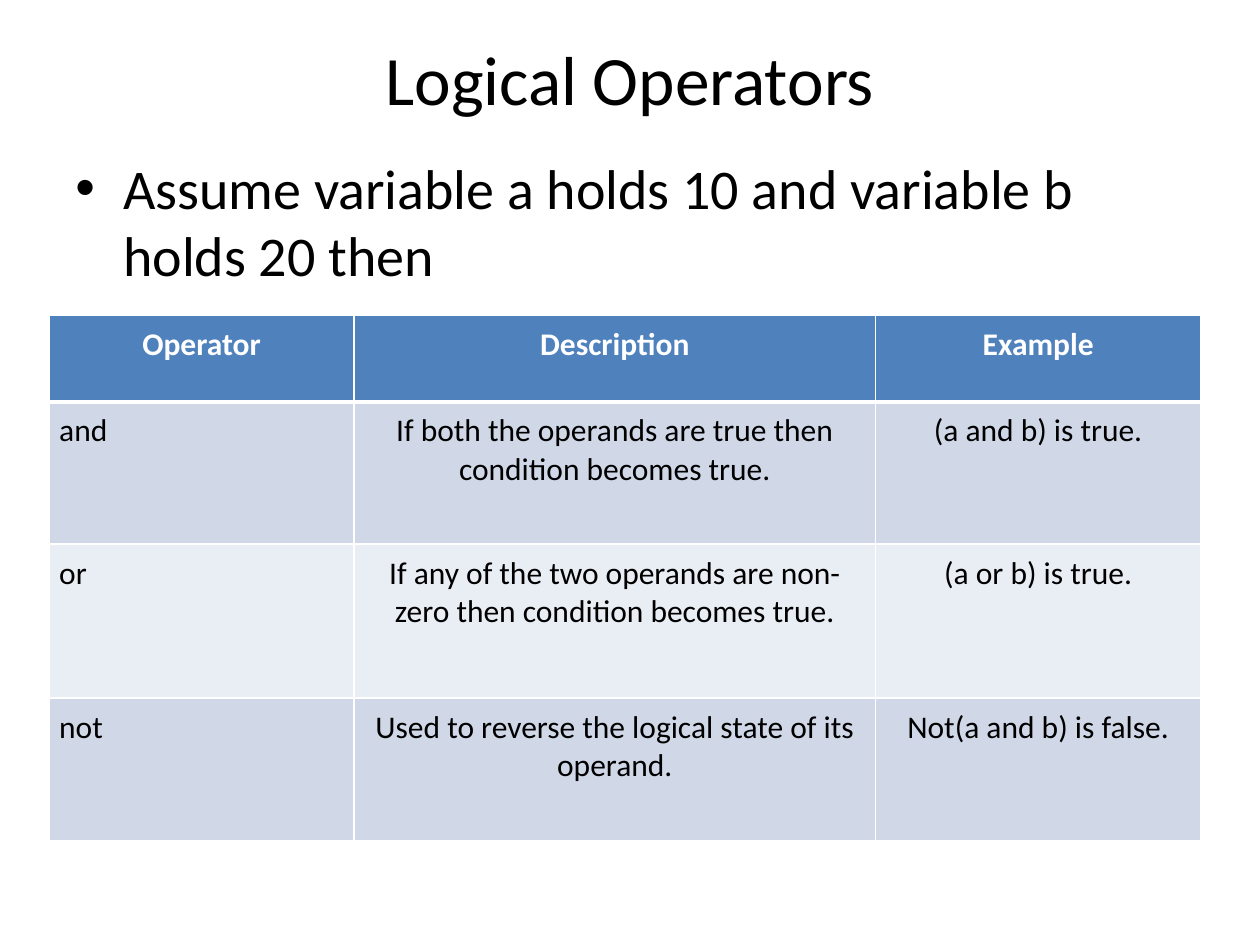
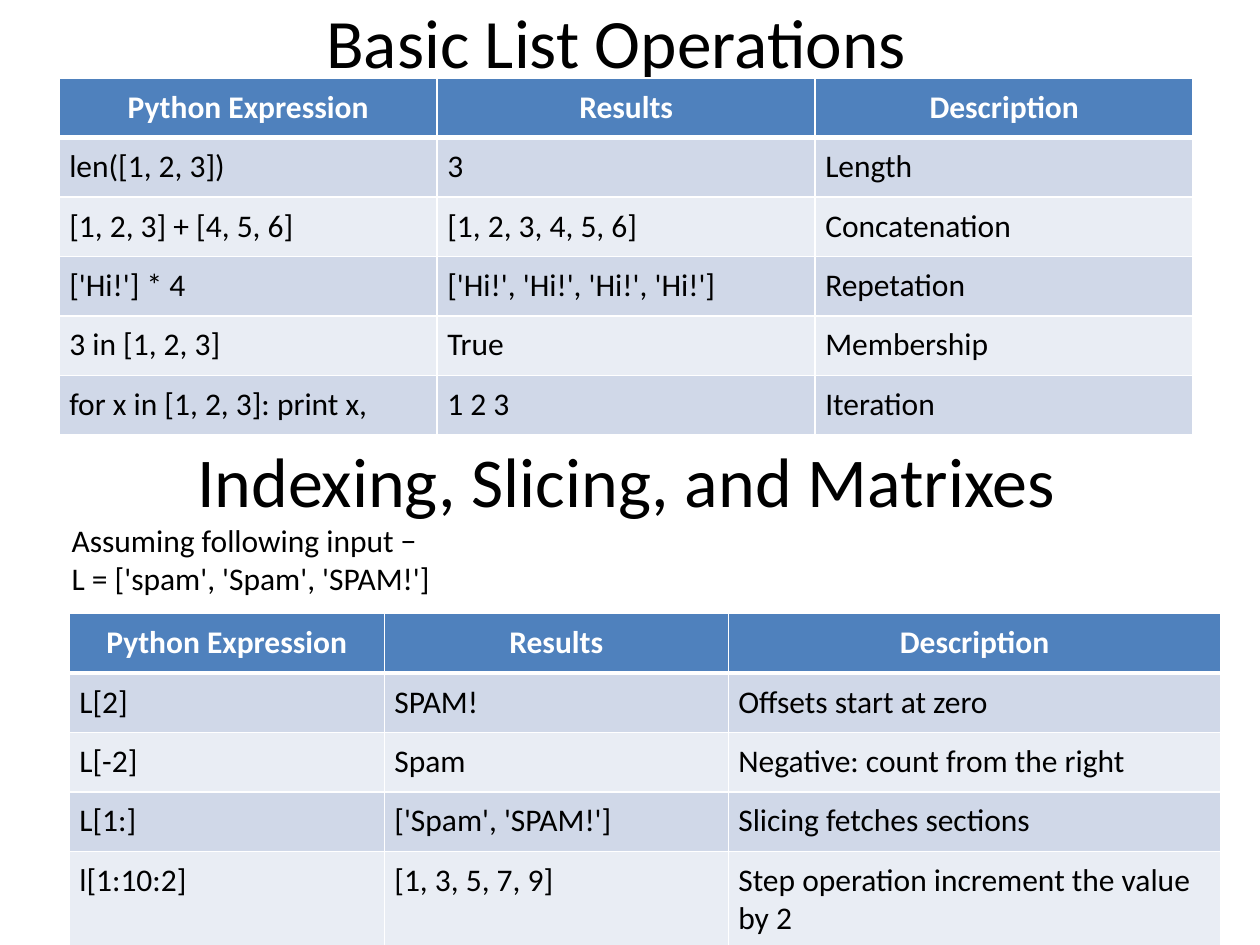
from dataclasses import dataclass
from typing import Sequence

from lxml import etree
from pptx import Presentation
from pptx import util as u
from pptx.dml.color import RGBColor
from pptx.enum import text
from pptx.oxml import ns

# Shared style
FONT = "Calibri"
BLACK, WHITE = "000000", "FFFFFF"
HEADER, BANDS = "4F81BD", ("D0D8E8", "E9EDF4")
TITLE_SIZE, BODY_SIZE, SMALL_SIZE = 39.6, 32, 18
CELL_INSET = u.Inches(0.08)
LEFT, CENTER = text.PP_ALIGN.LEFT, text.PP_ALIGN.CENTER
SLIDE_W, SLIDE_H = u.Inches(10), u.Inches(7.5)
LINE_ROW = 6.29  # one-line table row, percent of slide height


@dataclass
class Box:
    """Place in percent of the slide's width and height."""
    left: float
    top: float
    width: float
    height: float


@dataclass
class Line:
    words: str
    size: float = SMALL_SIZE
    align: text.PP_ALIGN = LEFT


@dataclass
class Grid:
    """Table; column widths and row heights in percent of the slide."""
    left: float
    top: float
    cols: Sequence[float]
    rows: Sequence[float]
    cells: Sequence[Sequence[str]]
    aligns: Sequence[text.PP_ALIGN] = (LEFT, LEFT, LEFT)


def across(share: float) -> int:
    return int(SLIDE_W * share / 100)


def down(share: float) -> int:
    return int(SLIDE_H * share / 100)


def rgb(color: str) -> RGBColor:
    return RGBColor.from_string(color)


def style(p, size: float, align, color: str = BLACK, bold: bool = False) -> None:
    p.alignment = align
    for r in p.runs:
        r.font.name, r.font.size = FONT, u.Pt(size)
        r.font.bold, r.font.color.rgb = bold, rgb(color)


def add_text(s, box: Box, lines: Sequence[Line], anchor=text.MSO_ANCHOR.MIDDLE):
    sp = s.shapes.add_textbox(across(box.left), down(box.top),
                              across(box.width), down(box.height))
    tf = sp.text_frame
    tf.word_wrap, tf.vertical_anchor = True, anchor
    tf.text = "\n".join(line.words for line in lines)
    for p, line in zip(tf.paragraphs, lines):
        style(p, line.size, line.align)
    return tf


def add_title(s, left: float, top: float, words: str) -> None:
    add_text(s, Box(left, top, 90, 8.53), [Line(words, TITLE_SIZE, CENTER)])


def add_bullet(s, box: Box, words: str) -> None:
    tf = add_text(s, box, [Line(words, BODY_SIZE)], text.MSO_ANCHOR.TOP)
    pPr = tf.paragraphs[0]._p.get_or_add_pPr()
    indent = u.Inches(0.38)
    pPr.set("marL", str(indent))
    pPr.set("indent", str(-indent))
    etree.SubElement(pPr, ns.qn("a:buFont"), typeface="Arial")
    etree.SubElement(pPr, ns.qn("a:buChar"), char="•")


def add_borders(cell, top: float, bottom: float) -> None:
    tcPr = cell._tc.get_or_add_tcPr()
    for side, width in (("L", 1), ("R", 1), ("T", top), ("B", bottom)):
        ln = etree.SubElement(tcPr, ns.qn(f"a:ln{side}"), w=str(u.Pt(width)))
        fill = etree.SubElement(ln, ns.qn("a:solidFill"))
        etree.SubElement(fill, ns.qn("a:srgbClr"), val=WHITE)


def add_grid(s, grid: Grid) -> None:
    frame = s.shapes.add_table(len(grid.rows), len(grid.cols),
                               across(grid.left), down(grid.top),
                               across(sum(grid.cols)), down(sum(grid.rows)))
    table = frame.table
    for column, share in zip(table.columns, grid.cols):
        column.width = across(share)
    for row, share in zip(table.rows, grid.rows):
        row.height = down(share)
    for i, row in enumerate(grid.cells):
        head = i == 0
        for j, words in enumerate(row):
            cell = table.cell(i, j)
            cell.margin_left = cell.margin_right = CELL_INSET
            cell.margin_top = cell.margin_bottom = CELL_INSET
            add_borders(cell, 3 if i == 1 else 1, 3 if head else 1)
            cell.fill.solid()
            cell.fill.fore_color.rgb = rgb(HEADER if head else BANDS[(i - 1) % 2])
            cell.text_frame.text = words
            style(cell.text_frame.paragraphs[0], SMALL_SIZE,
                  CENTER if head else grid.aligns[j],
                  WHITE if head else BLACK, head)


# Table contents
LOGICAL = Grid(
    3.9, 33.33, (24.2, 41.4, 25.8), (9.2, 15.07, 16.27, 15.07),
    [("Operator", "Description", "Example"),
     ("and", "If both the operands are true then condition becomes true.",
      "(a and b) is true."),
     ("or", "If any of the two operands are non-zero then condition becomes true.",
      "(a or b) is true."),
     ("not", "Used to reverse the logical state of its operand.",
      "Not(a and b) is false.")],
    (LEFT, CENTER, CENTER))

LIST_HEADER = ("Python Expression", "Results", "Description")

LIST_OPERATIONS = Grid(
    4.7, 8.27, (30,) * 3, (LINE_ROW,) * 6,
    [LIST_HEADER,
     ("len([1, 2, 3])", "3", "Length"),
     ("[1, 2, 3] + [4, 5, 6]", "[1, 2, 3, 4, 5, 6]", "Concatenation"),
     ("['Hi!'] * 4", "['Hi!', 'Hi!', 'Hi!', 'Hi!']", "Repetation"),
     ("3 in [1, 2, 3]", "True", "Membership"),
     ("for x in [1, 2, 3]: print x,", "1 2 3", "Iteration")])

INDEXING = Grid(
    5.5, 64.93, (25, 27.3, 39.1), (LINE_ROW,) * 4 + (9.9,),
    [LIST_HEADER,
     ("L[2]", "SPAM!", "Offsets start at zero"),
     ("L[-2]", "Spam", "Negative: count from the right"),
     ("L[1:]", "['Spam', 'SPAM!']", "Slicing fetches sections"),
     ("l[1:10:2]", "[1, 3, 5, 7, 9]", "Step operation increment the value by 2")])


def logical_operators(s) -> None:
    add_title(s, 5, 4, "Logical Operators")
    add_bullet(s, Box(5, 15.6, 90, 82.27),
               "Assume variable a holds 10 and variable b holds 20 then")
    add_grid(s, LOGICAL)


def list_operations(s) -> None:
    add_title(s, 3.9, 0, "Basic List Operations")
    add_grid(s, LIST_OPERATIONS)
    add_text(s, Box(4.7, 45.87, 90, 17.73), [
        Line("Indexing, Slicing, and Matrixes", 40, CENTER),
        Line("Assuming following input −"),
        Line("L = ['spam', 'Spam', 'SPAM!']")])
    add_grid(s, INDEXING)


def main() -> None:
    prs = Presentation()
    prs.slide_width, prs.slide_height = SLIDE_W, SLIDE_H
    for build in (logical_operators, list_operations):
        build(prs.slides.add_slide(prs.slide_layouts[6]))
    prs.save("out.pptx")


if __name__ == "__main__":
    main()
